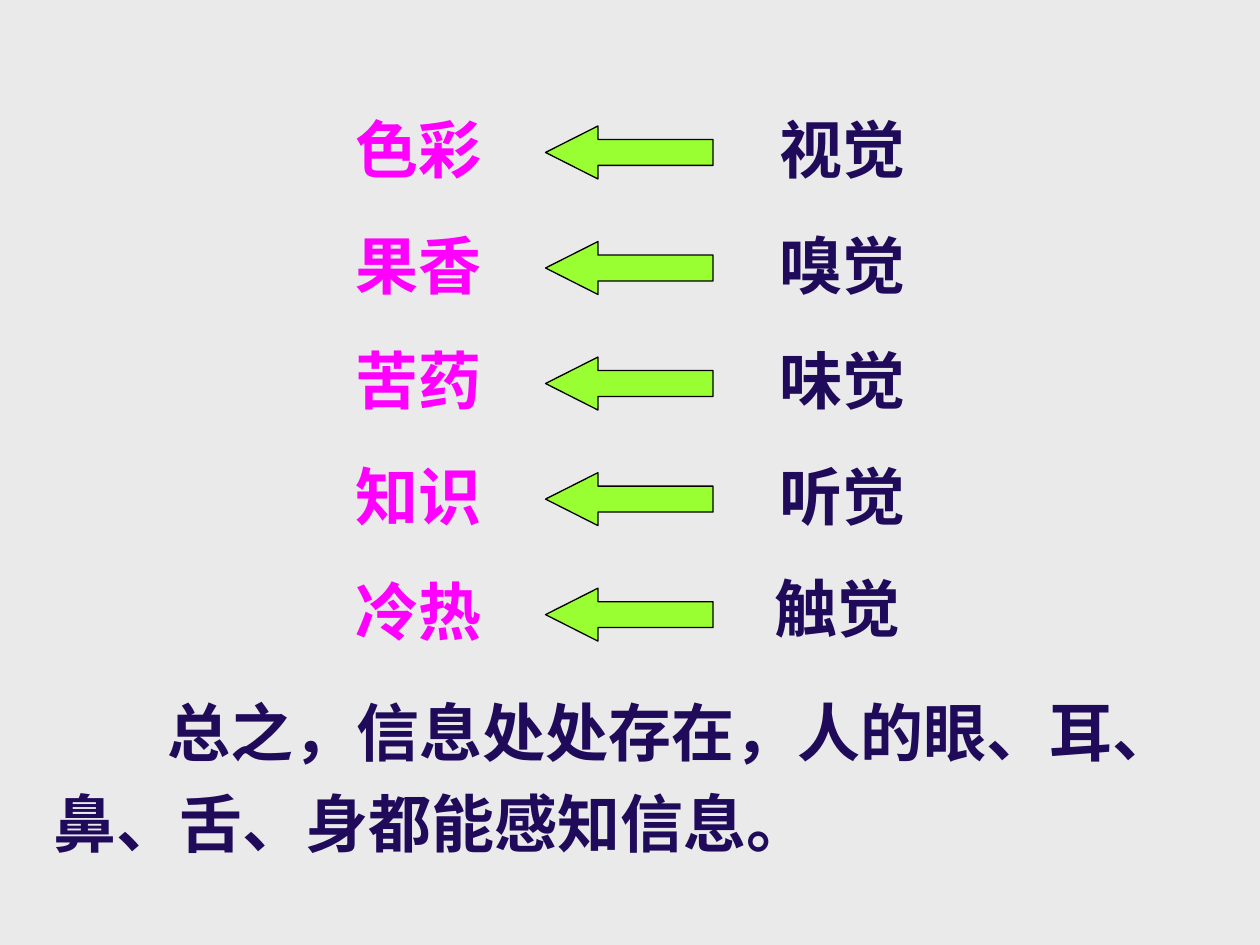
from pptx import Presentation
from pptx.dml.color import RGBColor
from pptx.enum.lang import MSO_LANGUAGE_ID
from pptx.enum.shapes import MSO_SHAPE
from pptx.enum.text import MSO_AUTO_SIZE
from pptx.util import Inches, Pt

COLORS = {
    "background": "EAEAEA",
    "stimulus": "FF00FF",
    "text": "200B5B",
    "arrow": "99FF33",
    "outline": "000000",
}
SENSES = [
    ("色彩", "视觉"),
    ("果香", "嗅觉"),
    ("苦药", "味觉"),
    ("知识", "听觉"),
    ("冷热", "触觉"),
]
SUMMARY = "总之，信息处处存在，人的眼、耳、鼻、舌、身都能感知信息。"
ROW_TOP = 0.83
ROW_STEP = 0.917


def color(name):
    return RGBColor.from_string(COLORS[name])


def add_text(page, text, left, top, width, height, color_name, font_name, wrap=False):
    """Add a bold one-paragraph text box and return its paragraph."""
    box = page.shapes.add_textbox(Inches(left), Inches(top), Inches(width), Inches(height))
    frame = box.text_frame
    frame.word_wrap = wrap
    frame.auto_size = MSO_AUTO_SIZE.SHAPE_TO_FIT_TEXT
    para = frame.paragraphs[0]
    span = para.add_run()
    span.text = text
    span.font.name = font_name
    span.font.size = Pt(36)
    span.font.bold = True
    span.font.color.rgb = color(color_name)
    span.font.language_id = MSO_LANGUAGE_ID.SIMPLIFIED_CHINESE
    return para


def add_arrow(page, top):
    arrow = page.shapes.add_shape(
        MSO_SHAPE.LEFT_ARROW, Inches(4.33), Inches(top), Inches(1.33), Inches(0.42))
    arrow.adjustments[0] = 0.49
    arrow.adjustments[1] = 0.99
    arrow.shadow.inherit = False
    arrow.fill.solid()
    arrow.fill.fore_color.rgb = color("arrow")
    arrow.line.color.rgb = color("outline")
    arrow.line.width = Pt(0.75)


def add_summary(page):
    para = add_text(page, SUMMARY, 0.33, 5.33, 9.08, 1.54, "text", "Noto Sans CJK SC", wrap=True)
    para.line_spacing = Pt(52)
    para._p.get_or_add_pPr().set("indent", str(Inches(0.9)))


def main():
    deck = Presentation()
    deck.slide_width = Inches(10)
    deck.slide_height = Inches(7.5)
    page = deck.slides.add_slide(deck.slide_layouts[6])
    page.background.fill.solid()
    page.background.fill.fore_color.rgb = color("background")

    for row, (stimulus, sense) in enumerate(SENSES):
        top = ROW_TOP + row * ROW_STEP
        is_last = row == len(SENSES) - 1
        sense_left, sense_top = (6.05, top - 0.03) if is_last else (6.09, top)
        add_text(page, stimulus, 2.72, top, 1.2, 0.7, "stimulus", "Arial")
        add_arrow(page, top + 0.17)
        add_text(page, sense, sense_left, sense_top, 1.2, 0.7, "text", "Arial")
    add_summary(page)

    deck.save("out.pptx")


if __name__ == "__main__":
    main()
